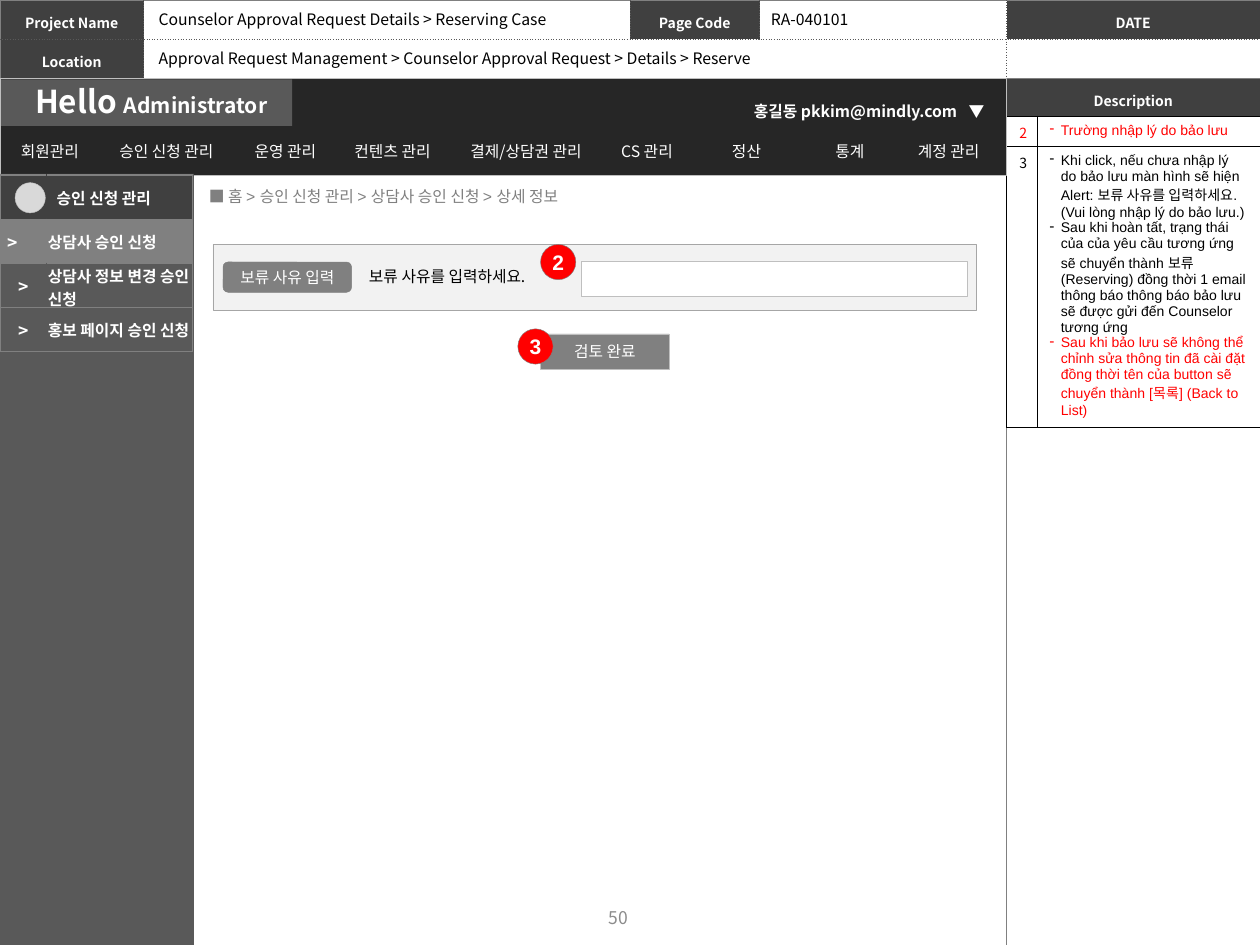
import dataclasses
import pptx
import pptx.dml.color
import pptx.enum.shapes
import pptx.enum.text
import pptx.oxml.ns
import pptx.util
from lxml import etree

Inches = pptx.util.Inches
Pt = pptx.util.Pt
qn = pptx.oxml.ns.qn
Align = pptx.enum.text.PP_ALIGN
Anchor = pptx.enum.text.MSO_ANCHOR
Kind = pptx.enum.shapes.MSO_SHAPE


@dataclasses.dataclass(frozen=True)
class Theme:
    """Colours, fonts and type sizes of the slide."""
    white: str = "FFFFFF"
    black: str = "000000"
    red: str = "FF0000"
    ink: str = "262626"
    dark: str = "404040"
    slate: str = "595959"
    gray: str = "808080"
    folio: str = "8C8C8C"
    edge: str = "A6A6A6"
    pale: str = "BFBFBF"
    dot: str = "D9D9D9"
    panel: str = "F2F2F2"
    sans: str = "Noto Sans CJK KR"
    latin: str = "Arial"
    small: int = 8
    body: int = 9
    mark: int = 10
    badge: int = 12
    brand: int = 18


T = Theme()


@dataclasses.dataclass(frozen=True)
class Box:
    """A rectangle in inches."""
    x: float
    y: float
    w: float
    h: float

    def inner(self, x, y, w, h):
        """Return a box placed relative to this one."""
        return Box(self.x + x, self.y + y, w, h)

    def frame(self):
        """Return the four lengths of the box."""
        return [Inches(v) for v in (self.x, self.y, self.w, self.h)]


def rgb(code):
    """Return a colour for a hex code."""
    return pptx.dml.color.RGBColor.from_string(code)


def style(para, size=T.body, color=T.black, bold=False, font=T.sans,
          align=Align.LEFT, space=None, bullet=None):
    """Set the type of a paragraph."""
    props = para._p.get_or_add_pPr()
    if bullet:
        props.set("marL", str(Inches(0.09)))
        props.set("indent", str(-Inches(0.09)))
        etree.SubElement(props, qn("a:buChar")).set("char", bullet)
    para.alignment = align
    if space:
        para.line_spacing = space
    para.font.size = Pt(size)
    para.font.bold = bold
    para.font.color.rgb = rgb(color)
    para.font.name = font
    asian = etree.SubElement(props.find(qn("a:defRPr")), qn("a:ea"))
    asian.set("typeface", T.sans)
    if not para.runs:
        etree.SubElement(para._p, qn("a:endParaRPr")).set("sz", str(size * 100))


def write(frame, text, **look):
    """Write one styled paragraph."""
    para = frame.paragraphs[0]
    if text:
        para.add_run().text = text
    style(para, **look)
    return para


def label(slide, box, text, wrap=False, anchor=Anchor.TOP, **look):
    """Add a text box."""
    frame = slide.shapes.add_textbox(*box.frame()).text_frame
    frame.word_wrap = wrap
    frame.vertical_anchor = anchor
    return write(frame, text, **look)


def block(slide, box, fill, line=None, kind=Kind.RECTANGLE, text="", **look):
    """Add a filled shape with an optional centred caption."""
    shape = slide.shapes.add_shape(kind, *box.frame())
    shape.shadow.inherit = False
    shape.fill.solid()
    shape.fill.fore_color.rgb = rgb(fill)
    if line:
        shape.line.color.rgb = rgb(line)
        shape.line.width = Pt(0.25)
    else:
        shape.line.fill.background()
    if text:
        shape.text_frame.word_wrap = False
        shape.text_frame.vertical_anchor = Anchor.MIDDLE
        write(shape.text_frame, text, color=T.white, align=Align.CENTER, **look)


def grid(slide, box, cols, rows):
    """Add a plain table with the given column and row sizes."""
    table = slide.shapes.add_table(len(rows), len(cols), *box.frame()).table
    table.first_row = table.horz_banding = False
    for col, width in zip(table.columns, cols):
        col.width = Inches(width)
    for row, height in zip(table.rows, rows):
        row.height = Inches(height)
    return table


def cell(table, row, col, text="", fill=None, ins=(0.1, 0.05, 0.1, 0.05),
         anchor=Anchor.MIDDLE, **look):
    """Fill one table cell."""
    item = table.cell(row, col)
    item.margin_left, item.margin_top, item.margin_right, item.margin_bottom = map(Inches, ins)
    item.vertical_anchor = anchor
    if fill:
        item.fill.solid()
        item.fill.fore_color.rgb = rgb(fill)
    else:
        item.fill.background()
    write(item.text_frame, text, **look)
    return item


def rule(table, outer, inner, tint=None):
    """Draw table borders; tint gives each row its own upright inner line."""
    rows, cols = len(table.rows), len(table.columns)
    for r in range(rows):
        upright = (tint[r], outer[1], "solid") if tint else inner
        for c in range(cols):
            sides = {"L": upright if c else outer,
                     "R": upright if c < cols - 1 else outer,
                     "T": inner if r else outer,
                     "B": inner if r < rows - 1 else outer}
            props = table.cell(r, c)._tc.get_or_add_tcPr()
            for i, (side, (color, width, dash)) in enumerate(sides.items()):
                line = etree.Element(qn("a:ln" + side), w=str(Pt(width)))
                solid = etree.SubElement(line, qn("a:solidFill"))
                etree.SubElement(solid, qn("a:srgbClr")).set("val", color)
                etree.SubElement(line, qn("a:prstDash")).set("val", dash)
                props.insert(i, line)


SOLID = (T.gray, 0.5, "solid")
DOTS = (T.slate, 0.5, "sysDot")
HEAD = dict(fill=T.dark, ins=(0.04,) * 4, size=T.small, color=T.white,
            bold=True, align=Align.CENTER, space=1.3)


def header(slide, box):
    """Add the page information table."""
    table = grid(slide, box, (1.14, 3.86, 1.03, 1.96, 2.01), (0.31, 0.31))
    heads = (("Project Name", "", "Page Code", "", "DATE"), ("Location", "", "", "", ""))
    for r, row in enumerate(heads):
        for c, text in enumerate(row):
            cell(table, r, c, text, **(HEAD if text else {}))
    rule(table, SOLID, DOTS)
    table.cell(1, 1).merge(table.cell(1, 3))
    label(slide, box.inner(1.16, 0.03, 3.31, 0.25), "Counselor Approval Request Details > Reserving Case")
    label(slide, box.inner(6.02, 0.03, 0.83, 0.25), "RA-040101")
    label(slide, box.inner(1.16, 0.34, 5.01, 0.25),
          "Approval Request Management > Counselor Approval Request > Details > Reserve")


def banner(slide, box):
    """Add the title bar and the main menu."""
    block(slide, box, T.ink, T.pale)
    block(slide, box.inner(0.01, 0.01, 2.31, 0.37), T.slate)
    para = label(slide, box.inner(0.18, -0.02, 2.09, 0.4), "Hello ",
                 size=T.brand, color=T.white, bold=True)
    run = para.add_run()
    run.text = "Administrator"
    run.font.size = Pt(T.badge)
    user = dict(color=T.white, bold=True, space=1.2)
    label(slide, box.inner(5.82, 0.11, 1.94, 0.26), "홍길동 pkkim@mindly.com",
          wrap=True, align=Align.CENTER, **user)
    label(slide, box.inner(7.59, 0.11, 0.33, 0.26), "▼", **user)
    menu = (("회원관리", 0.75), ("승인 신청 관리", 1.1), ("운영 관리", 0.79),
            ("컨텐츠 관리", 0.91), ("결제/상담권 관리", 1.21), ("CS 관리", 0.71),
            ("정산", 0.87), ("통계", 0.77), ("계정 관리", 0.8))
    table = grid(slide, box.inner(0.02, 0.42, 7.91, 0.31), [w for _, w in menu], [0.31])
    for c, (text, _) in enumerate(menu):
        cell(table, 0, c, text, color=T.white, align=Align.CENTER)
    rule(table, (T.ink, 1, "solid"), (T.ink, 1, "solid"))


def sidebar(slide, box):
    """Add the side menu."""
    block(slide, box, T.slate)
    items = (("", "승인 신청 관리", T.dark, 0.08, 0.01),
             (">", "상담사 승인 신청", T.gray, 0.01, 0.18),
             (">", "상담사 정보 변경 승인 신청", T.slate, 0.01, 0.01),
             (">", "홍보 페이지 승인 신청", T.slate, 0.01, 0.01))
    table = grid(slide, box.inner(0, 0.01, 1.53, 1.42), (0.37, 1.16), (0.35,) * 4)
    for r, (sign, text, fill, left, right) in enumerate(items):
        look = dict(fill=fill, color=T.white, bold=True)
        cell(table, r, 0, sign, ins=(0.01, 0.01, right, 0), size=T.mark,
             align=Align.CENTER, **look)
        cell(table, r, 1, text, ins=(left, 0.01, 0.01, 0), **look)
    edge = (T.gray, 1, "solid")
    rule(table, edge, edge, [item[2] for item in items])
    block(slide, box.inner(0.12, 0.07, 0.24, 0.24), T.dot, T.pale, Kind.OVAL)


def badge(slide, box, text):
    """Add a numbered red marker."""
    block(slide, box, T.red, T.gray, Kind.OVAL, text, size=T.badge, bold=True, font=T.latin)


def form(slide, box):
    """Add the breadcrumb and the reserve form."""
    label(slide, box.inner(0.02, 0, 6.1, 0.34), "■ 홈 > 승인 신청 관리 > 상담사 승인 신청 > 상세 정보",
          wrap=True, anchor=Anchor.MIDDLE, color=T.gray, font=T.latin)
    block(slide, box.inner(0.15, 0.55, 6.06, 0.52), T.panel, T.edge)
    block(slide, box.inner(0.23, 0.69, 1.02, 0.24), T.gray, T.gray,
          Kind.ROUNDED_RECTANGLE, "보류 사유 입력")
    label(slide, box.inner(1.29, 0.68, 1.58, 0.25), "보류 사유를 입력하세요.")
    block(slide, box.inner(3.07, 0.68, 3.07, 0.28), T.white, T.pale)
    block(slide, box.inner(2.75, 1.26, 1.02, 0.28), T.gray, T.pale, text="검토 완료")
    badge(slide, box.inner(2.75, 0.55, 0.28, 0.28), "2")
    badge(slide, box.inner(2.57, 1.22, 0.28, 0.28), "3")
    label(slide, box.inner(2.2, 5.69, 2.33, 0.4), "50", wrap=True, anchor=Anchor.MIDDLE,
          size=T.mark, color=T.folio, align=Align.CENTER)


def notes(slide, box):
    """Add the description panel."""
    panel = grid(slide, box, [box.w], (0.31, box.h - 0.31))
    cell(panel, 0, 0, "Description", **HEAD)
    cell(panel, 1, 0)
    rule(panel, SOLID, DOTS)
    items = (
        ("2", T.red, (("Trường nhập lý do bảo lưu", T.red),)),
        ("3", T.black, (
            ("Khi click, nếu chưa nhập lý do bảo lưu màn hình sẽ hiện Alert: 보류 사유를 입력하세요. "
             "(Vui lòng nhập lý do bảo lưu.)", T.black),
            ("Sau khi hoàn tất, trạng thái của của yêu cầu tương ứng sẽ chuyển thành 보류 (Reserving) "
             "đồng thời 1 email thông báo thông báo bảo lưu sẽ được gửi đến Counselor tương ứng", T.black),
            ("Sau khi bảo lưu sẽ không thể chỉnh sửa thông tin đã cài đặt đồng thời tên của button "
             "sẽ chuyển thành [목록] (Back to List)", T.red))))
    table = grid(slide, box.inner(0, 0.3, 2, 2.47), (0.23, 1.77), (0.24, 2.23))
    for r, (number, color, lines) in enumerate(items):
        base = dict(fill=T.white, anchor=Anchor.TOP, size=T.small)
        cell(table, r, 0, number, color=color, **base)
        frame = cell(table, r, 1, lines[0][0], color=lines[0][1], font=T.latin,
                     bullet="-", **base).text_frame
        for text, tone in lines[1:]:
            para = frame.add_paragraph()
            para.add_run().text = text
            style(para, size=T.small, color=tone, font=T.latin, bullet="-")
    rule(table, (T.black, 0.5, "solid"), (T.black, 0.5, "solid"))


def main():
    """Build and save the slide."""
    deck = pptx.Presentation()
    deck.slide_width, deck.slide_height = Inches(10), Inches(7.5)
    slide = deck.slides.add_slide(deck.slide_layouts[6])
    header(slide, Box(0, 0, 10, 0.62))
    notes(slide, Box(7.99, 0.62, 2.01, 6.88))
    banner(slide, Box(0, 0.62, 7.99, 0.77))
    sidebar(slide, Box(0, 1.38, 1.54, 6.12))
    form(slide, Box(1.54, 1.39, 6.45, 6.11))
    deck.save("out.pptx")


if __name__ == "__main__":
    main()
